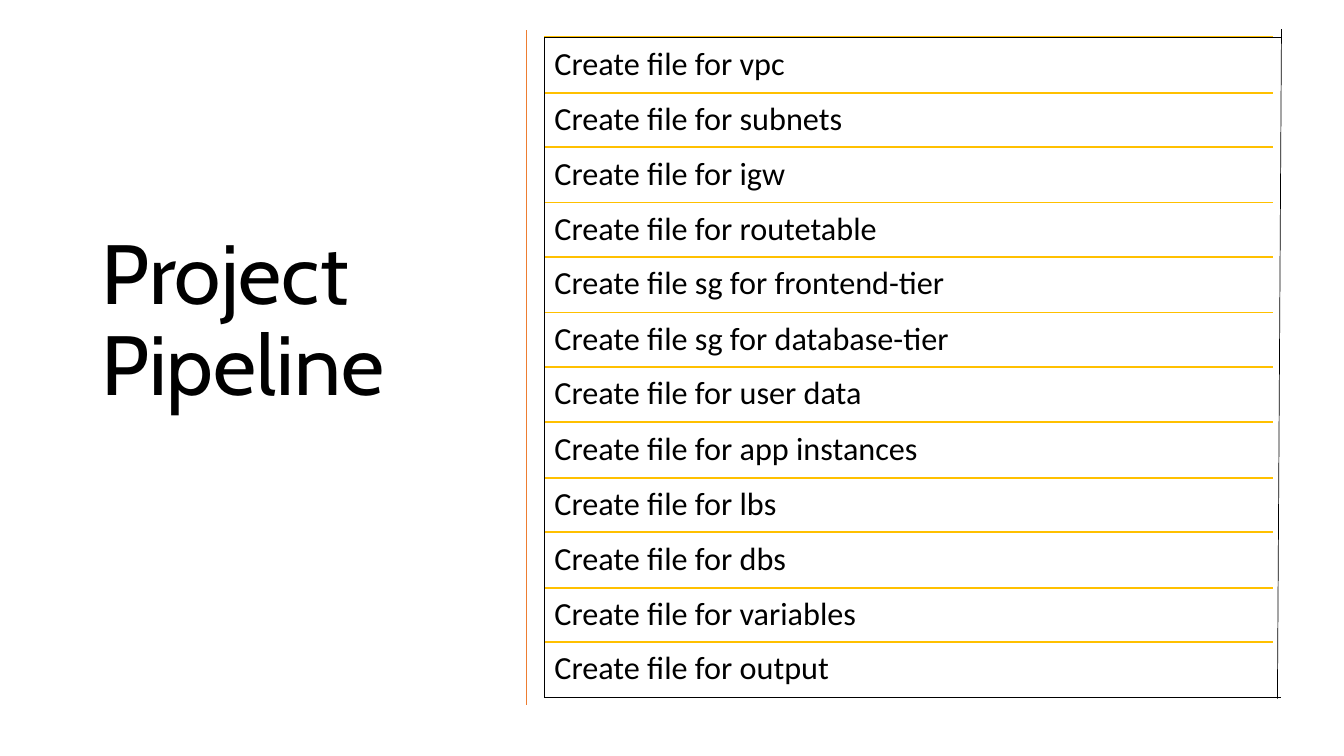
"""Build the Project Pipeline slide: a title beside a ruled list of steps."""
from lxml import etree
from pptx import Presentation
from pptx.dml.color import RGBColor
from pptx.enum.shapes import MSO_CONNECTOR
from pptx.enum.text import MSO_ANCHOR, PP_ALIGN
from pptx.oxml.ns import qn
from pptx.util import Inches, Pt

STRAIGHT = MSO_CONNECTOR.STRAIGHT
TOP = MSO_ANCHOR.TOP
LEFT = PP_ALIGN.LEFT
BLACK = RGBColor(0x00, 0x00, 0x00)
GOLD = RGBColor(0xFF, 0xC0, 0x00)
ORANGE = RGBColor(0xED, 0x7D, 0x31)

TITLE = "Project Pipeline"
STEPS = [
    "Create file for vpc",
    "Create file for subnets",
    "Create file for igw",
    "Create file for routetable",
    "Create file sg for frontend-tier",
    "Create file sg for database-tier",
    "Create file for user data",
    "Create file for app instances",
    "Create file for lbs",
    "Create file for dbs",
    "Create file for variables",
    "Create file for output",
]

LIST_LEFT, LIST_TOP, LIST_WIDTH, LIST_BOTTOM = 5.4, 0.37, 7.23, 6.92
ROW_HEIGHT = (LIST_BOTTOM - LIST_TOP) / len(STEPS)
FRAME_RIGHT = 12.71
FRAME = [
    (LIST_LEFT, LIST_TOP, LIST_LEFT, LIST_BOTTOM),
    (FRAME_RIGHT, 0.29, 12.67, 6.93),
    (LIST_LEFT, LIST_BOTTOM, FRAME_RIGHT, LIST_BOTTOM),
    (LIST_LEFT, LIST_TOP, FRAME_RIGHT, LIST_TOP),
]
DIVIDER = (5.22, 0.3, 5.22, 6.99)


def add_text(slide, text, box, *, font, size, inset=0.1, color=BLACK):
    """Add a wrapped, top-left text box."""
    shape = slide.shapes.add_textbox(*map(Inches, box))
    frame = shape.text_frame
    frame.word_wrap = True
    frame.vertical_anchor = TOP
    frame.margin_left = frame.margin_right = Inches(0.1)
    frame.margin_top = frame.margin_bottom = Inches(inset)
    paragraph = frame.paragraphs[0]
    paragraph.alignment = LEFT
    paragraph.line_spacing = 0.9
    run = paragraph.add_run()
    run.text = text
    run.font.name = font
    run.font.size = Pt(size)
    run.font.color.rgb = color


def add_line(slide, ends, color, width):
    """Add a straight line without a shadow."""
    connector = slide.shapes.add_connector(STRAIGHT, *map(Inches, ends))
    connector.line.color.rgb = color
    connector.line.width = Pt(width)
    properties = connector.element.find(qn("p:spPr"))
    etree.SubElement(properties, qn("a:effectLst"))


presentation = Presentation()
presentation.slide_width = Inches(13.33)
presentation.slide_height = Inches(7.5)
slide = presentation.slides.add_slide(presentation.slide_layouts[6])

add_text(slide, TITLE, (0.91, 2.25, 4.3, 4.17), font="Cabin", size=60, inset=0.05)

for row, step in enumerate(STEPS):
    top = round(LIST_TOP + row * ROW_HEIGHT, 2)
    add_line(slide, (LIST_LEFT, top, LIST_LEFT + LIST_WIDTH, top), GOLD, 1.25)
    add_text(slide, step, (LIST_LEFT, top, LIST_WIDTH, ROW_HEIGHT), font="Calibri", size=23)

for edge in FRAME:
    add_line(slide, edge, BLACK, 0.5)
add_line(slide, DIVIDER, ORANGE, 0.5)

presentation.save("out.pptx")
